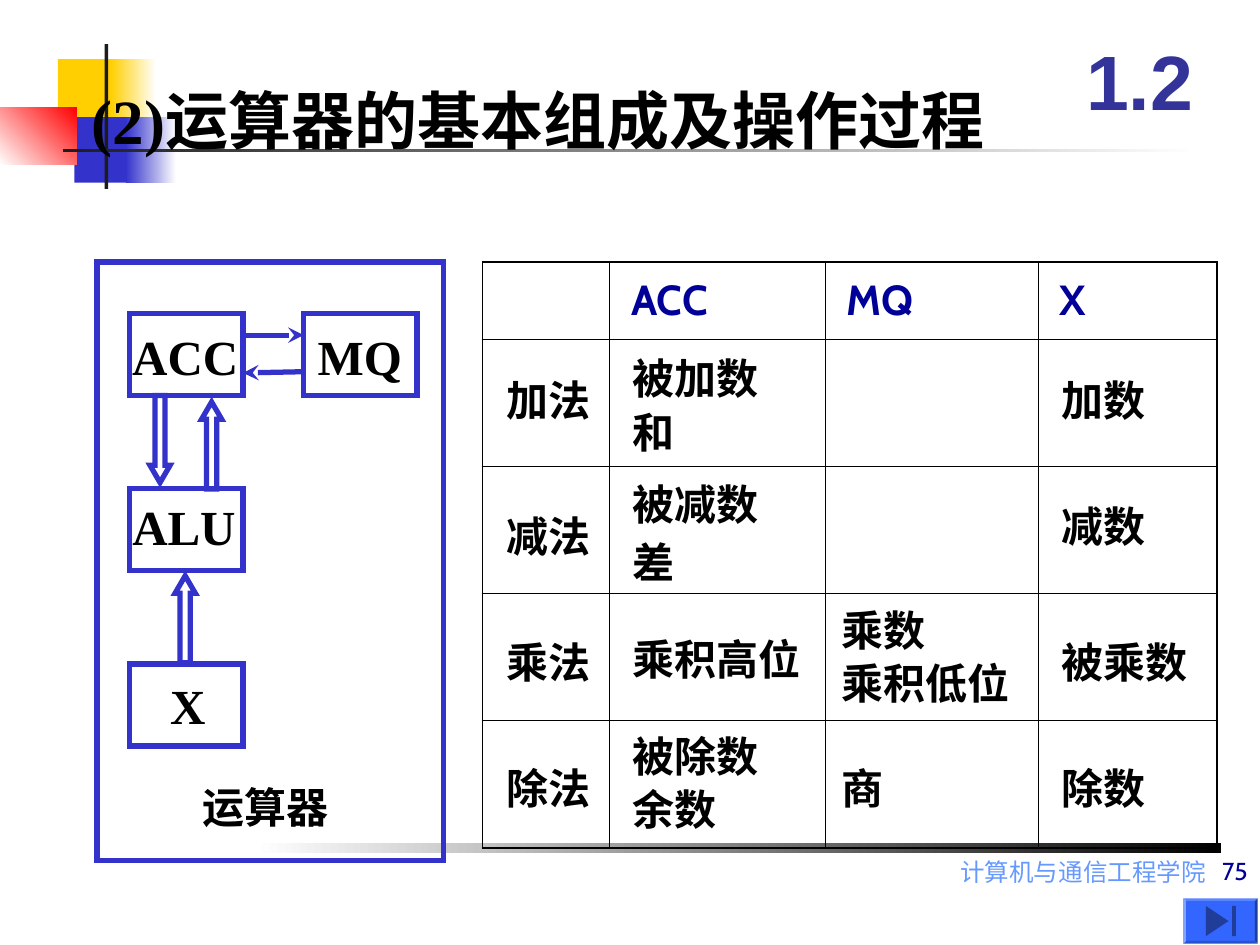
from lxml import etree
from pptx import Presentation, util as u
from pptx.dml.color import RGBColor
from pptx.enum import shapes as sh, text as tx
from pptx.oxml.ns import qn

hue = RGBColor.from_string
KIND = sh.MSO_SHAPE
LEFT, MID, RIGHT = tx.PP_ALIGN.LEFT, tx.PP_ALIGN.CENTER, tx.PP_ALIGN.RIGHT
TOP, CORE, LOW = tx.MSO_ANCHOR.TOP, tx.MSO_ANCHOR.MIDDLE, tx.MSO_ANCHOR.BOTTOM
SERIF, SANS, HAN = "Times New Roman", "Cabin", "Noto Sans CJK SC"
BLUE, NAVY, BLACK, WHITE = "3333CC", "000099", "000000", "FFFFFF"

deck = Presentation()
deck.slide_width, deck.slide_height = u.Inches(10), u.Inches(7.5)
slide = deck.slides.add_slide(deck.slide_layouts[6])
items = slide.shapes


def draw(kind, at, fill=None, line=None, slant=0):
    """Add a preset shape; a pair of colours as fill makes a gradient."""
    part = items.add_shape(kind, *map(u.Inches, at))
    part.shadow.inherit = False
    if isinstance(fill, tuple):
        part.fill.gradient()
        part.fill.gradient_angle = slant
        for stop, tone in zip(part.fill.gradient_stops, fill):
            stop.color.rgb = hue(tone)
    elif fill:
        part.fill.solid()
        part.fill.fore_color.rgb = hue(fill)
    else:
        part.fill.background()
    if line:
        part.line.color.rgb = hue(line)
        part.line.width = u.Pt(3)
        edge = part._element.spPr.find(qn("a:ln"))
        etree.SubElement(edge, qn("a:miter"), lim="800000")
    else:
        part.line.fill.background()
    return part


def write(frame, words, size, face=SERIF, tone=BLACK, bold=True, align=LEFT):
    para = frame.paragraphs[0]
    para.alignment = align
    run = para.add_run()
    run.text = words
    font = run.font
    font.size, font.name, font.bold = u.Pt(size), face, bold
    font.color.rgb = hue(tone)
    etree.SubElement(font._element, qn("a:ea"), typeface=HAN)


# Corner blocks and rules
for at, fill, slant in [
    ((0.46, 0.47, 0.48, 0.52), "FFCF01", 0),
    ((0.88, 0.47, 0.36, 0.52), ("FFCF01", WHITE), 0),
    ((0.59, 0.93, 0.46, 0.52), BLUE, 0),
    ((1, 0.93, 0.4, 0.52), (BLUE, WHITE), 0),
    ((0, 0.85, 0.61, 0.46), (WHITE, "FF0000"), 45),
    ((0.83, 0.35, 0.03, 1.15), "1C1C1C", 0),
    ((0.5, 1.18, 9, 0.03), ("1C1C1C", WHITE), 0),
    ((2.02, 6.69, 7.67, 0.08), (WHITE, BLACK), 0),
]:
    draw(KIND.RECTANGLE, at, fill, slant=slant)

# Table grid with its header
heads = ["", "ACC", "MQ", "X"]
wide = [1.01, 1.71, 1.69, 1.42]
tall = [0.61] + [1.01] * 4
grid = items.add_table(len(tall), len(wide), u.Inches(3.83), u.Inches(2.08),
                       u.Inches(sum(wide)), u.Inches(sum(tall))).table
grid.first_row = grid.horz_banding = False
for col, size in zip(grid.columns, wide):
    col.width = u.Inches(size)
for row, size in zip(grid.rows, tall):
    row.height = u.Inches(size)
for r in range(len(tall)):
    for c in range(len(wide)):
        cell = grid.cell(r, c)
        cell.vertical_anchor = CORE
        edges = {"L": c == 0, "R": c == len(wide) - 1,
                 "T": r == 0, "B": r == len(tall) - 1}
        for side, outer in edges.items():
            rule = etree.SubElement(cell._tc.tcPr, qn("a:ln" + side),
                                    w=str(u.Pt(1.08 if outer else 0.45)))
            solid = etree.SubElement(rule, qn("a:solidFill"))
            etree.SubElement(solid, qn("a:srgbClr"), val=BLACK)
        cell.fill.background()
        if r == 0 and heads[c]:
            cell.margin_left = u.Inches(0.17)
            write(cell.text_frame, heads[c], 24, SANS, NAVY)

# Title, section number and footer
for at, words, size, face, tone, bold, align, anchor in [
    ((0.63, 0.6, 7.99, 0.7), "(2)运算器的基本组成及操作过程", 36, SERIF, BLACK, True, LEFT, TOP),
    ((8.42, 0.17, 1.25, 0.92), "1.2", 44, "Arial", "333399", True, MID, CORE),
    ((3.92, 6.75, 5.75, 0.26), "计算机与通信工程学院", 14, SERIF, "6699FF", False, RIGHT, TOP),
    ((5.22, 6.58, 4.78, 0.5), "75", 14, SANS, NAVY, False, RIGHT, LOW),
]:
    frame = items.add_textbox(*map(u.Inches, at)).text_frame
    frame.word_wrap = True
    frame.vertical_anchor = anchor
    write(frame, words, size, face, tone, bold, align)

# Operands laid over the grid, column by column
for left, width, notes in [
    (3.92, 1.25, [(2.92, "加法"), (4, "减法"), (5, "乘法"), (6, "除法")]),
    (4.92, 2, [(2.75, "被加数"), (3.18, "和"), (3.75, "被减数"), (4.21, "差"),
               (4.98, "乘积高位"), (5.75, "被除数"), (6.17, "余数")]),
    (6.58, 2, [(4.75, "乘数"), (5.17, "乘积低位"), (6, "商")]),
    (8.33, 1.5, [(2.92, "加数"), (3.92, "减数"), (5, "被乘数"), (6, "除数")]),
]:
    for top, words in notes:
        frame = items.add_textbox(*map(u.Inches, (left, top, width, 0.5))).text_frame
        frame.word_wrap = True
        write(frame, words, 24)

# Arithmetic unit: frame, registers and their names
draw(KIND.RECTANGLE, (0.77, 2.08, 2.75, 4.75), line=BLUE)
for left, top in [(1.03, 2.49), (2.41, 2.49), (1.03, 3.88), (1.03, 5.27)]:
    draw(KIND.RECTANGLE, (left, top, 0.9, 0.65), line=BLUE)
for at, words, size, face in [
    ((1.02, 2.59, 0.9, 0.47), "ACC", 28, SERIF),
    ((2.51, 2.59, 0.69, 0.47), "MQ", 28, SERIF),
    ((1.01, 3.94, 0.9, 0.47), "ALU", 28, SERIF),
    ((1.34, 5.36, 0.3, 0.47), "X", 28, SERIF),
    ((1.6, 6.2, 1.02, 0.4), "运算器", 24, HAN),
]:
    frame = items.add_textbox(*map(u.Inches, at)).text_frame
    frame.word_wrap = False
    frame.auto_size = tx.MSO_AUTO_SIZE.SHAPE_TO_FIT_TEXT
    frame.margin_left = frame.margin_right = 0
    frame.margin_top = frame.margin_bottom = 0
    write(frame, words, size, face, align=MID)

# Data paths
for left, top, turn in [(1.6, 3.19, 0), (1.39, 4.57, 0), (1.19, 3.14, 180)]:
    arrow = draw(KIND.UP_ARROW, (left, top, 0.16, 0.69), line=BLUE)
    arrow.adjustments[0], arrow.adjustments[1] = 0.5, 0.86
    arrow.rotation = turn
for ends in [(2.41, 2.95, 1.93, 2.96), (1.93, 2.66, 2.41, 2.66)]:
    link = items.add_connector(sh.MSO_CONNECTOR.STRAIGHT, *map(u.Inches, ends))
    link.line.color.rgb = hue(BLUE)
    link.line.width = u.Pt(3)
    edge = link._element.spPr.find(qn("a:ln"))
    etree.SubElement(edge, qn("a:tailEnd"), type="stealth")
    etree.SubElement(link._element.spPr, qn("a:effectLst"))

# Button that jumps to the end
key = draw(KIND.BEVEL, (9.39, 7.13, 0.59, 0.36), "3366FF")
key.adjustments[0] = 0.06
pen = items.build_freeform(u.Inches(9.75), u.Inches(7.31))
pen.add_line_segments([(u.Inches(9.57), u.Inches(y)) for y in (7.43, 7.19)])
mark = pen.convert_to_shape()
mark.shadow.inherit = False
mark.fill.solid()
mark.fill.fore_color.rgb = hue("1F3D99")
mark.line.fill.background()
draw(KIND.RECTANGLE, (9.78, 7.19, 0.03, 0.24), "1F3D99")

deck.save("out.pptx")
